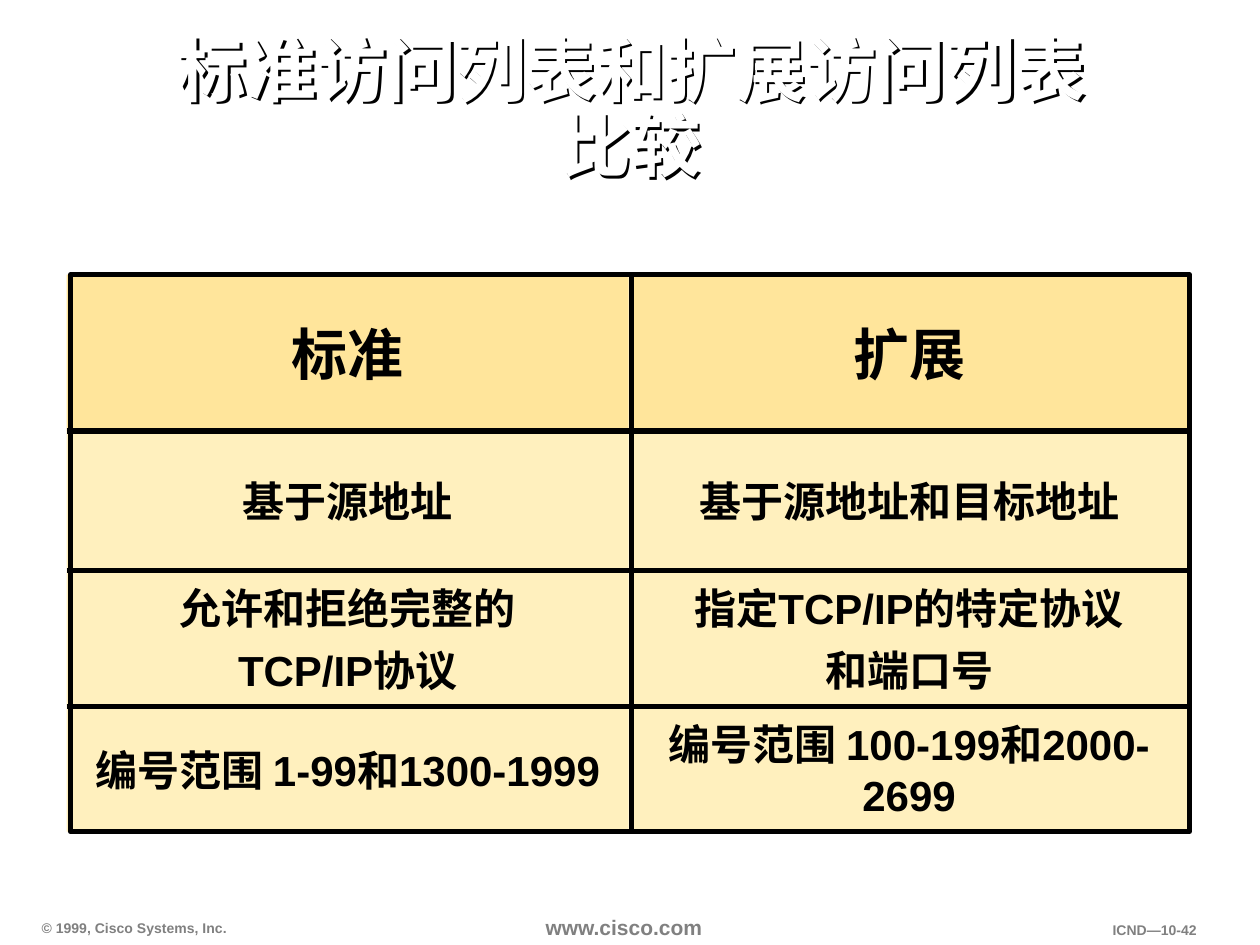
from itertools import accumulate

from lxml.etree import SubElement
from pptx import Presentation
from pptx.dml.color import RGBColor
from pptx.enum.shapes import MSO_CONNECTOR, MSO_SHAPE
from pptx.enum.text import MSO_ANCHOR, PP_ALIGN
from pptx.oxml.ns import qn
from pptx.util import Inches, Pt

COLORS = {
    "black": "000000",
    "white": "FFFFFF",
    "gray": "808080",
    "header": "FFE59B",
    "body": "FFF0BE",
}
ROWS = [
    ("标准", "扩展"),
    ("基于源地址", "基于源地址和目标地址"),
    ("允许和拒绝完整的\nTCP/IP协议", "指定TCP/IP的特定协议\n和端口号"),
    ("编号范围 1-99和1300-1999", "编号范围 100-199和2000-2699"),
]
ROW_HEIGHTS = [1.24, 1.11, 1.08, 0.99]
COLUMN_WIDTHS = [4.46, 4.45]
FOOTERS = [
    ("© 1999, Cisco Systems, Inc.", (0.25, 7.26, 1.69, 0.22), 8, PP_ALIGN.LEFT),
    ("www.cisco.com", (4.25, 7.22, 1.5, 0.28), 12, PP_ALIGN.LEFT),
    ("ICND—10-42", (8.72, 7.27, 0.86, 0.22), 8, PP_ALIGN.RIGHT),
]


def rgb(name):
    return RGBColor.from_string(COLORS[name])


def write_text(frame, text, size, color, align=PP_ALIGN.CENTER, gap=0, line_spacing=None):
    frame.text = text
    for index, para in enumerate(frame.paragraphs):
        para.alignment = align
        para.space_before = Pt(gap if index else 0)
        if line_spacing:
            para.line_spacing = line_spacing
        for span in para.runs:
            span.font.name = "Arial"
            span.font.size = Pt(size)
            span.font.bold = True
            span.font.color.rgb = rgb(color)


def set_margins(frame, horizontal, vertical):
    frame.margin_left = frame.margin_right = Inches(horizontal)
    frame.margin_top = frame.margin_bottom = Inches(vertical)


def add_shadow(shape):
    shape.fill.background()
    shape.line.fill.background()
    effects = SubElement(shape._element.spPr, qn("a:effectLst"))
    shadow = SubElement(effects, qn("a:outerShdw"), dist="25400", dir="2700000", algn="tl")
    SubElement(shadow, qn("a:srgbClr"), val=COLORS["black"])


def place_title(page, box):
    title = page.shapes.title
    title.left, title.top, title.width, title.height = map(Inches, box)
    add_shadow(title)
    frame = title.text_frame
    set_margins(frame, 0.09, 0.04)
    frame.vertical_anchor = MSO_ANCHOR.MIDDLE
    write_text(frame, "标准访问列表和扩展访问列表\v比较", 40, "white", line_spacing=0.9)


def place_cell(page, text, box, size, shade):
    cell = page.shapes.add_shape(MSO_SHAPE.RECTANGLE, *map(Inches, box))
    cell.shadow.inherit = False
    cell.fill.solid()
    cell.fill.fore_color.rgb = rgb(shade)
    cell.line.fill.background()
    frame = cell.text_frame
    frame.word_wrap = True
    frame.vertical_anchor = MSO_ANCHOR.MIDDLE
    write_text(frame, text, size, "black", gap=7)


def draw_rule(shapes, *ends):
    rule = shapes.add_connector(MSO_CONNECTOR.STRAIGHT, *map(Inches, ends))
    rule.line.color.rgb = rgb("black")
    rule.line.width = Pt(3)
    SubElement(rule._element.spPr, qn("a:effectLst"))


def place_comparison(page, box):
    left, top, width, height = box
    lefts = list(accumulate(COLUMN_WIDTHS, initial=left))
    tops = list(accumulate(ROW_HEIGHTS, initial=top))
    for row_index, texts in enumerate(ROWS):
        size, shade = (24, "body") if row_index else (32, "header")
        for column_index, text in enumerate(texts):
            cell_box = (lefts[column_index], tops[row_index],
                        COLUMN_WIDTHS[column_index], ROW_HEIGHTS[row_index])
            place_cell(page, text, cell_box, size, shade)

    grid = page.shapes.add_group_shape().shapes
    outline = grid.add_shape(
        MSO_SHAPE.RECTANGLE, *map(Inches, (left + 0.03, top, width - 0.03, height)))
    outline.shadow.inherit = False
    outline.fill.background()
    outline.line.color.rgb = rgb("black")
    outline.line.width = Pt(3)
    for rule_top in tops[1:-1]:
        draw_rule(grid, left, rule_top, left + width, rule_top)
    draw_rule(page.shapes, lefts[1] + 0.02, top, lefts[1] + 0.02, top + height)


def place_footer(page, text, box, size, align):
    frame = page.shapes.add_textbox(*map(Inches, box)).text_frame
    frame.word_wrap = False
    set_margins(frame, 0.08, 0.04)
    write_text(frame, text, size, "gray", align=align)


def main():
    deck = Presentation()
    deck.slide_width, deck.slide_height = Inches(10), Inches(7.5)
    page = deck.slides.add_slide(deck.slide_layouts[5])
    for footer in FOOTERS:
        place_footer(page, *footer)
    place_title(page, (0.84, 0.26, 8.34, 1.25))
    place_comparison(page, (0.53, 2.18, sum(COLUMN_WIDTHS), sum(ROW_HEIGHTS)))
    deck.save("out.pptx")


if __name__ == "__main__":
    main()
